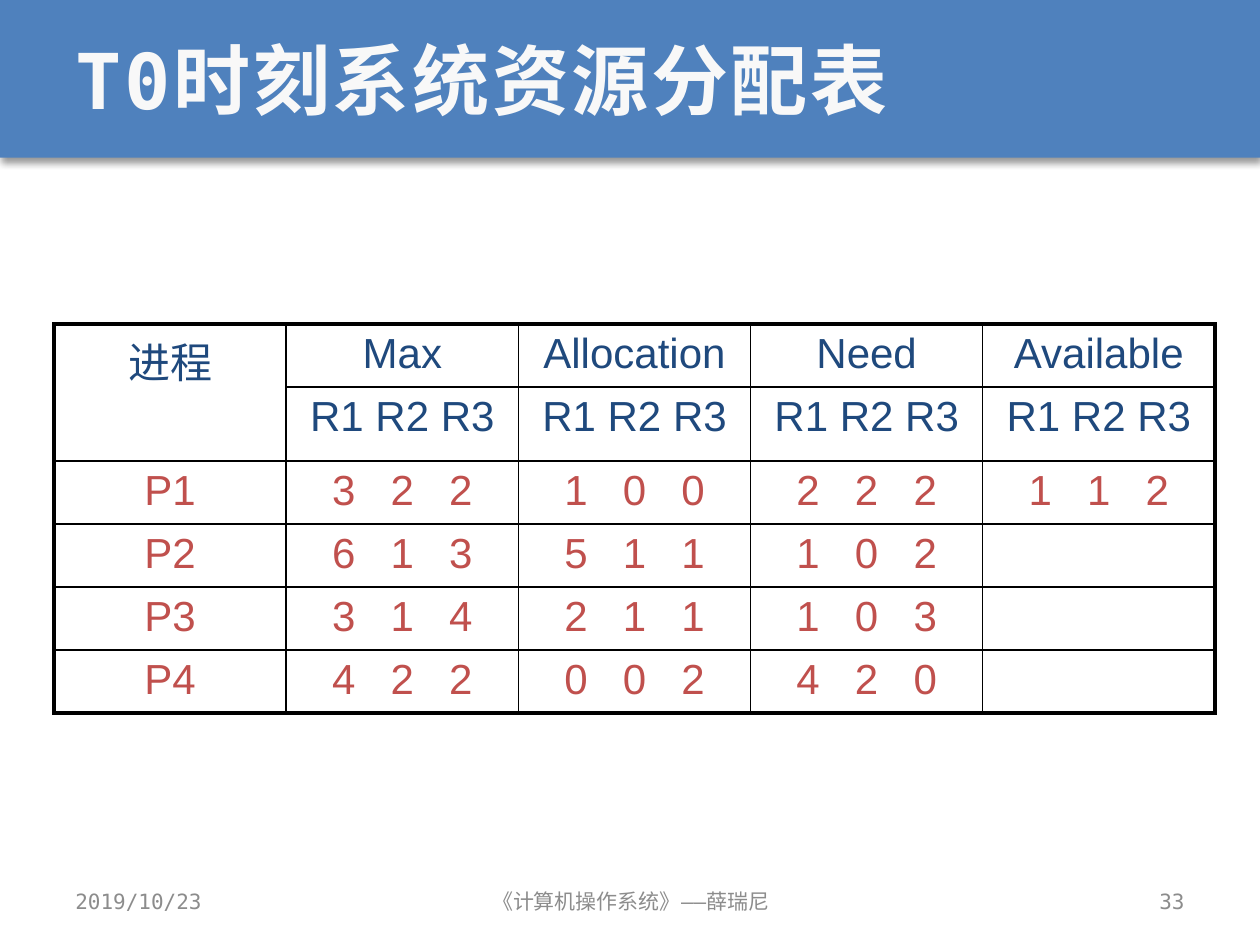
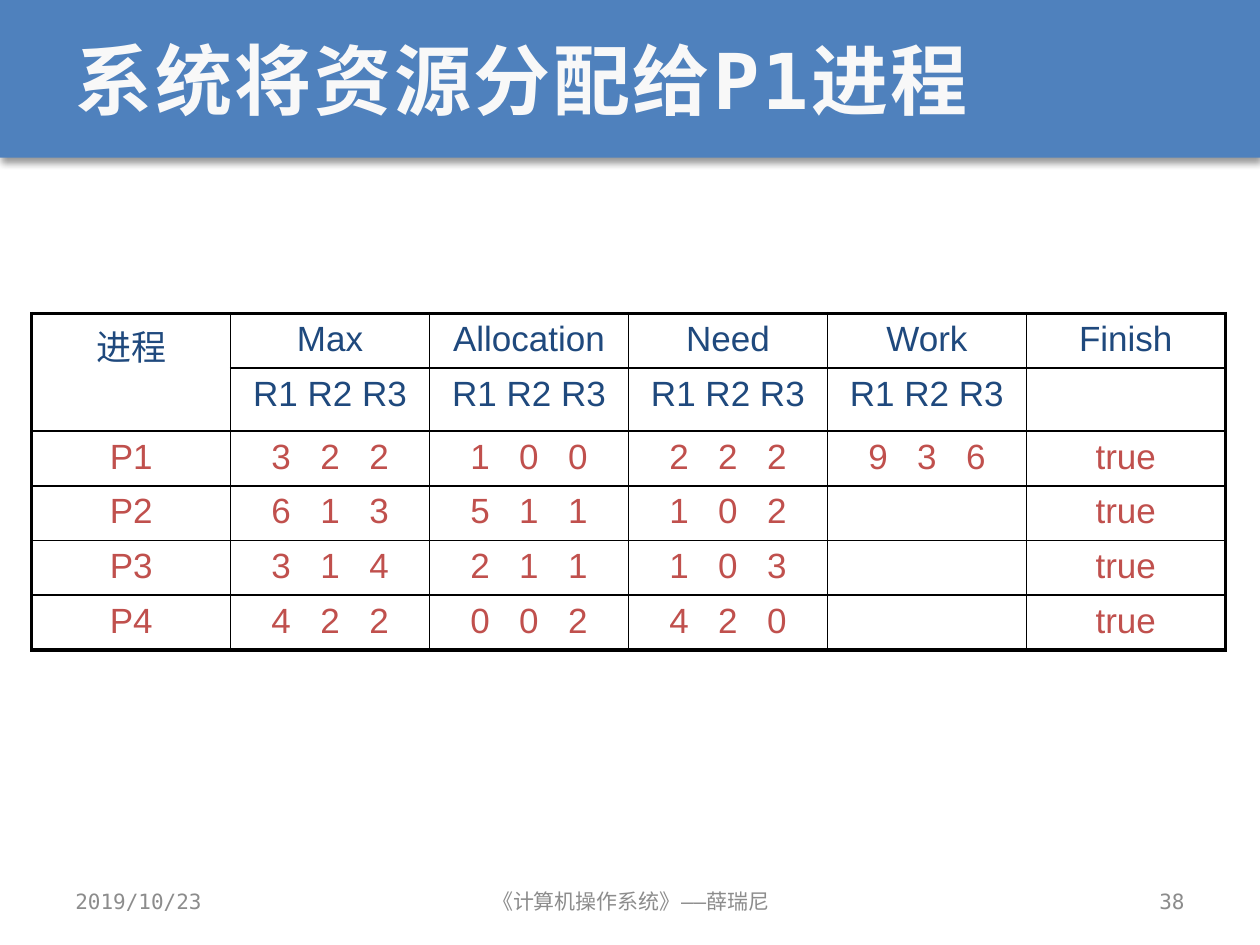
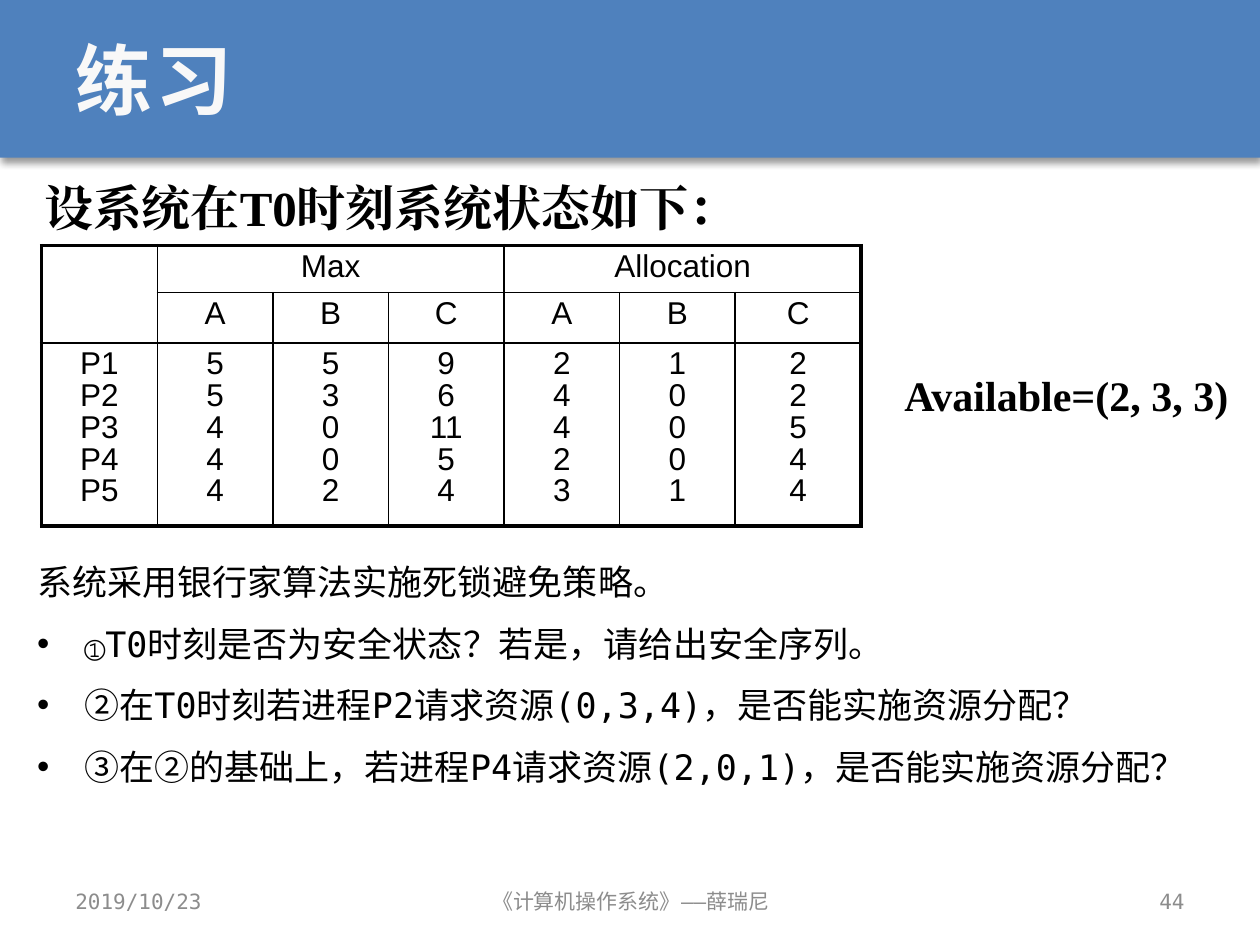
from dataclasses import dataclass

from lxml import etree
from pptx import Presentation
from pptx.dml.color import RGBColor
from pptx.enum.shapes import MSO_SHAPE
from pptx.enum.text import MSO_ANCHOR, PP_ALIGN
from pptx.oxml.ns import qn
from pptx.util import Cm, Pt

RECT = MSO_SHAPE.RECTANGLE
LEFT, CENTER, RIGHT, JUSTIFY = PP_ALIGN.LEFT, PP_ALIGN.CENTER, PP_ALIGN.RIGHT, PP_ALIGN.JUSTIFY
TOP, MIDDLE, BOTTOM = MSO_ANCHOR.TOP, MSO_ANCHOR.MIDDLE, MSO_ANCHOR.BOTTOM
TITLE_ONLY = 5


@dataclass(frozen=True)
class Theme:
    band: str = "4F81BD"
    title: str = "F8F8F8"
    head: str = "1F497D"
    value: str = "C0504D"
    ink: str = "000000"
    footer: str = "8C8C8C"
    mono: str = "DejaVu Sans Mono"
    sans: str = "Arial"
    serif: str = "Times New Roman"
    title_size: int = 44
    lead_size: int = 28
    note_size: int = 24
    body_size: int = 20
    grid_size: int = 18
    footer_size: int = 12
    outer_line: float = 2.25
    inner_line: float = 1


T = Theme()
DATE = "2019/10/23"
COURSE = "《计算机操作系统》——薛瑞尼"
TITLE_BOX = (1.27, 0, 22.86, 3.18)
RESOURCES = "R1 R2 R3"


# Text helpers
def add_run(p, text, size, font, color, bold=False, spacing=0, east_asian=True):
    r = p.add_run()
    r.text = text
    r.font.size, r.font.name, r.font.bold = Pt(size), font, bold
    r.font.color.rgb = RGBColor.from_string(color)
    rPr = r.font._element
    if spacing:
        rPr.set("spc", str(round(spacing * 100)))
    if east_asian:
        etree.SubElement(rPr, qn("a:ea"), typeface=font)


def add_text(s, box, text, size, font, color, align=LEFT, anchor=MIDDLE, bold=False):
    tf = s.shapes.add_textbox(*map(Cm, box)).text_frame
    tf.word_wrap, tf.vertical_anchor = True, anchor
    p = tf.paragraphs[0]
    p.alignment = align
    add_run(p, text, size, font, color, bold)


# Parts shared by every slide
def add_band(s, width, height):
    band = s.shapes.add_shape(RECT, 0, 0, width, height)
    band.fill.solid()
    band.fill.fore_color.rgb = RGBColor.from_string(T.band)
    band.line.fill.background()
    band.shadow.inherit = False
    effects = band._element.spPr.find(qn("a:effectLst"))
    shadow = etree.SubElement(effects, qn("a:outerShdw"), blurRad=str(Pt(4)),
                              dist=str(Pt(3)), dir="5400000", rotWithShape="0")
    color = etree.SubElement(shadow, qn("a:srgbClr"), val=T.ink)
    etree.SubElement(color, qn("a:alpha"), val="40000")
    s.shapes._spTree.insert(2, band._element)


def add_footer(s, number):
    for x, w, text, align in ((1.27, 5.92, DATE, LEFT),
                              (8.69, 8.05, COURSE, CENTER),
                              (18.21, 5.92, str(number), RIGHT)):
        add_text(s, (x, 17.65, w, 1.02), text, T.footer_size, T.mono, T.footer, align)


def add_slide(prs, title, number):
    s = prs.slides.add_slide(prs.slide_layouts[TITLE_ONLY])
    sp = s.shapes.title
    sp.left, sp.top, sp.width, sp.height = map(Cm, TITLE_BOX)
    tf = sp.text_frame
    tf.vertical_anchor = MIDDLE
    p = tf.paragraphs[0]
    p.alignment = LEFT
    add_run(p, title, T.title_size, T.mono, T.title, True, 1.5)
    add_band(s, prs.slide_width, sp.height)
    add_footer(s, number)
    return s


# Tables
def set_borders(cell, widths):
    tcPr = cell._tc.get_or_add_tcPr()
    for side, width in widths.items():
        ln = etree.SubElement(tcPr, qn(f"a:ln{side}"), w=str(Pt(width)))
        fill = etree.SubElement(ln, qn("a:solidFill"))
        etree.SubElement(fill, qn("a:srgbClr"), val=T.ink)


def add_grid(s, left, top, col_widths, row_heights, merges, write_cell):
    """Bordered table; write_cell(cell, row, column) puts in the text."""
    n_rows, n_cols = len(row_heights), len(col_widths)
    table = s.shapes.add_table(n_rows, n_cols, Cm(left), Cm(top),
                               Cm(sum(col_widths)), Cm(sum(row_heights))).table
    table.first_row = table.horz_banding = False
    for column, width in zip(table.columns, col_widths):
        column.width = Cm(width)
    for row, height in zip(table.rows, row_heights):
        row.height = Cm(height)
    for r1, c1, r2, c2 in merges:
        table.cell(r1, c1).merge(table.cell(r2, c2))
    for i in range(n_rows):
        for j in range(n_cols):
            cell = table.cell(i, j)
            if cell.is_spanned:
                continue
            rows, cols = (cell.span_height, cell.span_width) if cell.is_merge_origin else (1, 1)
            at_edge = {"L": j == 0, "R": j + cols == n_cols,
                       "T": i == 0, "B": i + rows == n_rows}
            set_borders(cell, {side: T.outer_line if edge else T.inner_line
                               for side, edge in at_edge.items()})
            cell.fill.background()
            write_cell(cell, i, j)


def add_allocation_table(s, left, top, col_width, row_height, head_height, size, rows):
    def write(cell, i, j):
        text = rows[i][j]
        if not text:
            return
        p = cell.text_frame.paragraphs[0]
        p.alignment, p.space_before = CENTER, Pt(size * 0.2)
        color = T.head if i < 2 else T.value
        if text[0].isdigit():  # spread the three amounts apart
            add_run(p, text[:-1], size, T.sans, color, spacing=size * 0.28, east_asian=False)
            text = text[-1]
        add_run(p, text, size, T.sans, color, east_asian=False)

    heights = [row_height, head_height] + [row_height] * (len(rows) - 2)
    add_grid(s, left, top, [col_width] * len(rows[0]), heights, [(0, 0, 1, 0)], write)


def add_state_table(s, left, top):
    columns = (("P1", "P2", "P3", "P4", "P5"),
               (5, 5, 4, 4, 4), (5, 3, 0, 0, 2), (9, 6, 11, 5, 4),
               (2, 4, 4, 2, 3), (1, 0, 0, 0, 1), (2, 2, 5, 4, 4))
    groups = {1: "Max", 4: "Allocation"}

    def write(cell, i, j):
        if i == 0:
            lines = [groups[j]] if j in groups else []
        else:
            lines = ["ABC"[(j - 1) % 3]] if i == 1 else columns[j]
        tf = cell.text_frame
        for k, line in enumerate(lines):
            p = tf.add_paragraph() if k else tf.paragraphs[0]
            p.alignment, p.line_spacing = CENTER, 0.9
            add_run(p, str(line), T.grid_size, T.sans, T.ink)

    add_grid(s, left, top, [2.33] * 6 + [2.54], [0.95, 1.01, 3.67],
             [(0, 0, 1, 0), (0, 1, 0, 3), (0, 4, 0, 6)], write)


# Questions under the exercise table
def add_questions(s, box, intro, questions):
    tf = s.shapes.add_textbox(*map(Cm, box)).text_frame
    tf.word_wrap, tf.vertical_anchor = True, TOP
    for k, text in enumerate([intro, *questions]):
        p = tf.add_paragraph() if k else tf.paragraphs[0]
        p.alignment, p.line_spacing, p.space_before = JUSTIFY, 1.3, Pt(T.body_size * 0.2)
        pPr = p._p.get_or_add_pPr()
        pPr.set("marL", str(Cm(0.95)))
        pPr.set("indent", str(-Cm(0.95)))
        if k:
            etree.SubElement(pPr, qn("a:buFont"), typeface=T.sans)
            etree.SubElement(pPr, qn("a:buChar"), char="•")
        add_run(p, text, T.body_size, T.mono, T.ink)


# Slides
def build_initial_allocation(prs):
    s = add_slide(prs, "T0时刻系统资源分配表", 33)
    add_allocation_table(s, 1.09, 6.53, 4.68, 1.19, 1.49, 24, [
        ("进程", "Max", "Allocation", "Need", "Available"),
        ("", *[RESOURCES] * 4),
        ("P1", "3 2 2", "1 0 0", "2 2 2", "1 1 2"),
        ("P2", "6 1 3", "5 1 1", "1 0 2", ""),
        ("P3", "3 1 4", "2 1 1", "1 0 3", ""),
        ("P4", "4 2 2", "0 0 2", "4 2 0", ""),
    ])


def build_safe_sequence(prs):
    s = add_slide(prs, "系统将资源分配给P1进程", 38)
    add_allocation_table(s, 0.64, 6.32, 4.01, 1.04, 1.27, 20, [
        ("进程", "Max", "Allocation", "Need", "Work", "Finish"),
        ("", *[RESOURCES] * 4, ""),
        ("P1", "3 2 2", "1 0 0", "2 2 2", "9 3 6", "true"),
        ("P2", "6 1 3", "5 1 1", "1 0 2", "", "true"),
        ("P3", "3 1 4", "2 1 1", "1 0 3", "", "true"),
        ("P4", "4 2 2", "0 0 2", "4 2 0", "", "true"),
    ])


def build_exercise(prs):
    s = add_slide(prs, "练习", 44)
    add_questions(s, (0.5, 10.92, 24.77, 5.59), "系统采用银行家算法实施死锁避免策略。", [
        "①T0时刻是否为安全状态？若是，请给出安全序列。",
        "②在T0时刻若进程P2请求资源(0,3,4)，是否能实施资源分配？",
        "③在②的基础上，若进程P4请求资源(2,0,1)，是否能实施资源分配？",
    ])
    add_text(s, (0.64, 3.45, 23.5, 1.45), "设系统在T0时刻系统状态如下：",
             T.lead_size, T.serif, T.ink, anchor=BOTTOM, bold=True)
    add_state_table(s, 0.84, 4.95)
    add_text(s, (17.98, 7.32, 7.42, 1.27), "Available=(2, 3, 3)",
             T.note_size, T.serif, T.ink, anchor=BOTTOM, bold=True)


def main():
    prs = Presentation()
    prs.slide_width, prs.slide_height = Cm(25.4), Cm(19.05)
    build_initial_allocation(prs)
    build_safe_sequence(prs)
    build_exercise(prs)
    prs.save("out.pptx")


if __name__ == "__main__":
    main()
